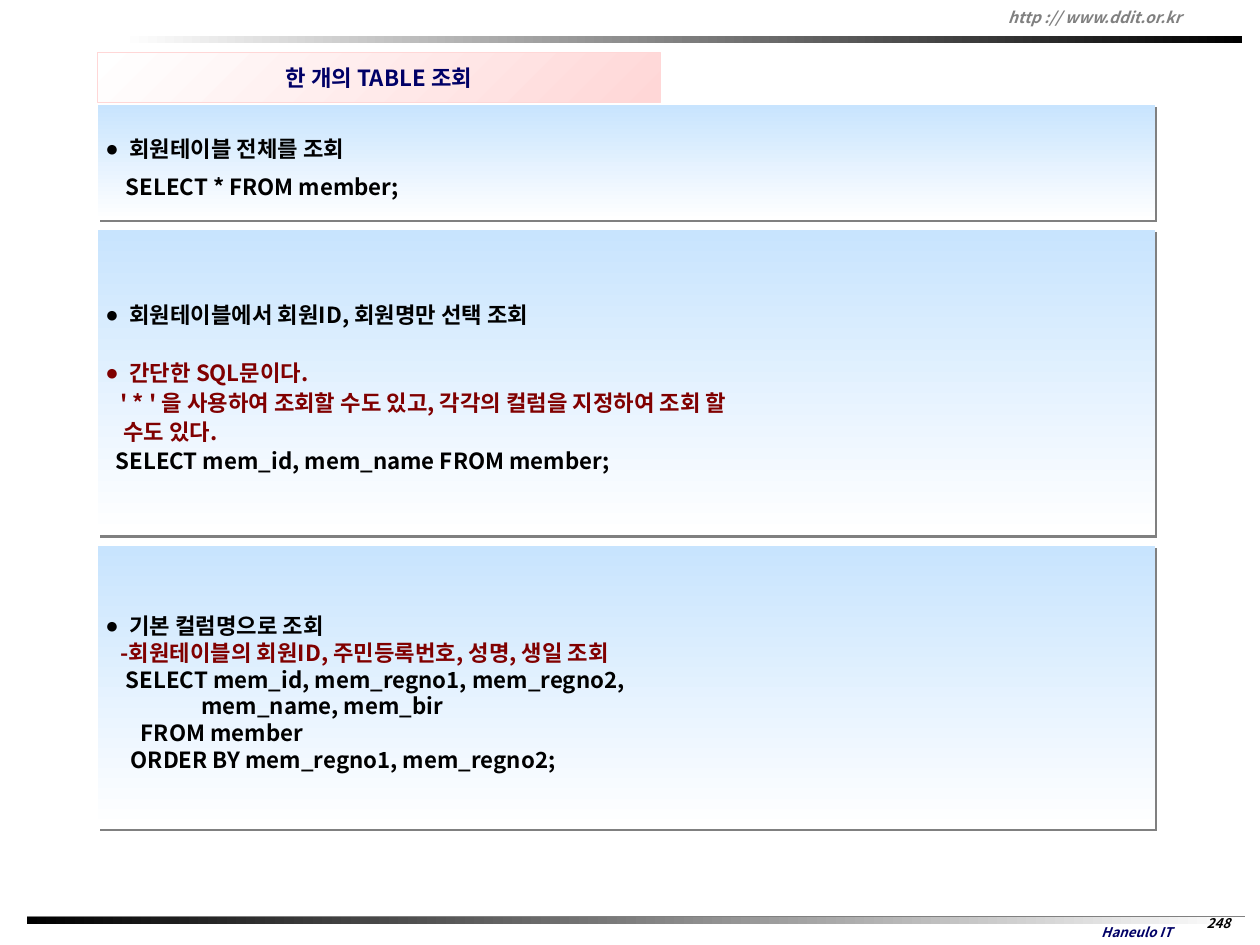
from lxml.etree import SubElement
from pptx import Presentation
from pptx.dml.color import RGBColor
from pptx.enum.shapes import MSO_CONNECTOR, MSO_SHAPE
from pptx.enum.text import MSO_ANCHOR, PP_ALIGN
from pptx.oxml.ns import qn
from pptx.util import Inches, Pt

FONT, BULLET_FONT = "Noto Sans CJK KR", "Arial"
BLACK, NAVY, MAROON, GRAY = "000000", "000066", "800000", "808080"


def rgb(value):
    return RGBColor.from_string(value)


class SlideBuilder:
    """Draws styled elements on one slide."""

    def __init__(self, slide):
        self.s = slide

    def style(self, p, size, color, italic=False):
        for r in p.runs:
            r.font.size, r.font.name = Pt(size), FONT
            r.font.bold, r.font.italic = True, italic
            r.font.color.rgb = rgb(color)
            SubElement(r._r.get_or_add_rPr(), qn("a:ea"), typeface=FONT)

    def gradient(self, x, y, w, h, start, end, angle=0, line=None):
        sp = self.s.shapes.add_shape(
            MSO_SHAPE.RECTANGLE, Inches(x), Inches(y), Inches(w), Inches(h))
        sp.shadow.inherit = False
        sp.fill.gradient()
        sp.fill.gradient_angle = -angle % 360
        for stop, color, pos in zip(sp.fill.gradient_stops, (start, end), (0, 1)):
            stop.color.rgb, stop.position = rgb(color), pos
        if line:
            sp.line.color.rgb, sp.line.width = rgb(line), Pt(0.75)
        else:
            sp.line.fill.background()
        return sp

    def line(self, x1, y1, x2, y2, color, width):
        c = self.s.shapes.add_connector(
            MSO_CONNECTOR.STRAIGHT, Inches(x1), Inches(y1), Inches(x2), Inches(y2))
        c.line.color.rgb, c.line.width = rgb(color), Pt(width)
        SubElement(c._element.spPr, qn("a:effectLst"))

    def label(self, x, y, w, h, text, size, color, align=PP_ALIGN.CENTER,
              anchor=MSO_ANCHOR.MIDDLE, inset=0.1):
        tf = self.s.shapes.add_textbox(
            Inches(x), Inches(y), Inches(w), Inches(h)).text_frame
        tf.word_wrap, tf.vertical_anchor = True, anchor
        tf.margin_left = tf.margin_right = Inches(inset)
        p = tf.paragraphs[0]
        p.text, p.alignment = text, align
        self.style(p, size, color, italic=True)

    def title(self, x, y, w, h, text):
        sp = self.gradient(x, y, w, h, "FFFFFF", "FFD7D7", 45, "FFD7D7")
        tf = sp.text_frame
        tf.word_wrap, tf.vertical_anchor = False, MSO_ANCHOR.MIDDLE
        p = tf.paragraphs[0]
        p.text, p.alignment = text, PP_ALIGN.CENTER
        self.style(p, 20, NAVY)

    def shadow(self, sp):
        shadow = SubElement(sp._element.spPr.find(qn("a:effectLst")), qn("a:outerShdw"),
                            dist=str(Pt(2.8)), dir="2700000", algn="ctr", rotWithShape="0")
        SubElement(shadow, qn("a:srgbClr"), val=GRAY)

    def panel(self, y, h, lines):
        sp = self.gradient(1.22, y, 13.22, h, "C8E4FE", "FFFFFF", 90)
        self.shadow(sp)
        tf = sp.text_frame
        tf.word_wrap, tf.vertical_anchor = True, MSO_ANCHOR.MIDDLE
        tf.margin_top = tf.margin_bottom = Inches(0.09)
        for i, (text, color, spacing, indent, bullet, before) in enumerate(lines):
            p = tf.add_paragraph() if i else tf.paragraphs[0]
            p.text, p.alignment, p.line_spacing = text, PP_ALIGN.LEFT, spacing
            if before:
                p.space_before = Pt(before)
            pPr = p._p.get_or_add_pPr()
            pPr.set("marL", str(Inches(indent)))
            pPr.set("indent", str(Inches(-indent if bullet else 0)))
            if bullet:
                SubElement(pPr, qn("a:buFont"), typeface=BULLET_FONT)
                SubElement(pPr, qn("a:buChar"), char="●")
            self.style(p, 20, color)


def bullet(text, color=BLACK, spacing=1.4, before=0):
    return text, color, spacing, 0.3, True, before


def note(text, spacing, indent):
    return text, MAROON, spacing, indent, False, 0


def code(text, spacing=1.0):
    return text, BLACK, spacing, 0, False, 0


def main():
    prs = Presentation()
    prs.slide_width, prs.slide_height = Inches(15.75), Inches(11.81)
    b = SlideBuilder(prs.slides.add_slide(prs.slide_layouts[6]))

    b.line(0.34, 11.46, 15.56, 11.46, GRAY, 1.5)
    b.gradient(0.34, 11.46, 15.22, 0.09, BLACK, "FFFFFF")
    b.label(13.26, 11.48, 1.9, 0.33, "Haneulo IT", 12, NAVY)
    b.gradient(1.52, 0.45, 14, 0.09, "FFFFFF", BLACK)
    b.label(12.5, 0.02, 3.21, 0.38, "http :// www.ddit.or.kr", 14, GRAY, PP_ALIGN.LEFT)
    b.label(14.98, 11.39, 0.5, 0.31, "248", 12, BLACK, anchor=MSO_ANCHOR.TOP, inset=0)

    b.title(1.22, 0.66, 7.03, 0.62, "한 개의 TABLE 조회")
    b.panel(1.31, 1.44, [
        bullet("회원테이블 전체를 조회"),
        code("    SELECT * FROM member;", 1.4),
    ])
    b.panel(2.87, 3.82, [
        bullet("회원테이블에서 회원ID, 회원명만 선택 조회"),
        bullet("간단한 SQL문이다.", MAROON, 1.1, before=26),
        note("' * ' 을 사용하여 조회할 수도 있고, 각각의 컬럼을 지정하여 조회 할", 1.1, 0.19),
        note("수도 있다.", 1.1, 0.22),
        code("  SELECT mem_id, mem_name FROM member;", 1.1),
    ])
    b.panel(6.82, 3.54, [
        bullet("기본 컬럼명으로 조회"),
        note("-회원테이블의 회원ID, 주민등록번호, 성명, 생일 조회", 1.0, 0.19),
        code("    SELECT mem_id, mem_regno1, mem_regno2,"),
        code("                   mem_name, mem_bir"),
        code("       FROM member"),
        code("     ORDER BY mem_regno1, mem_regno2;"),
    ])
    prs.save("out.pptx")


if __name__ == "__main__":
    main()
